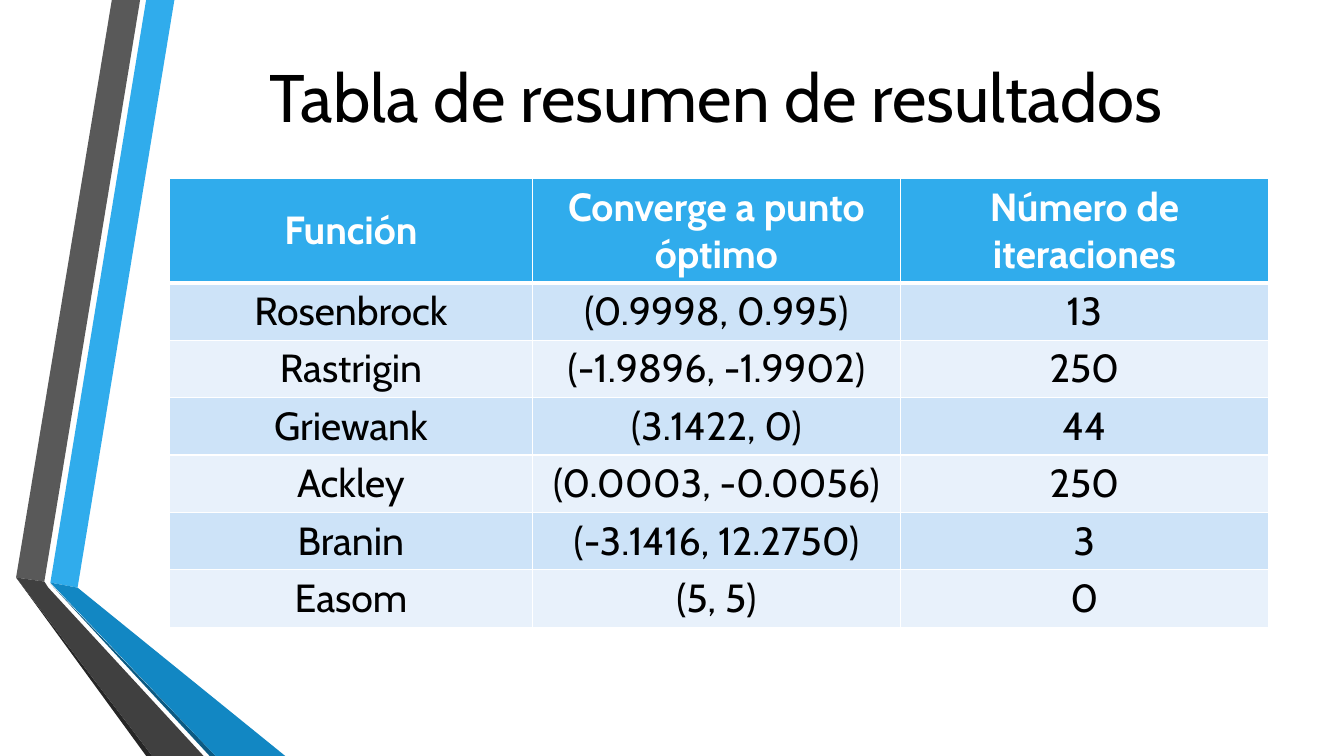
import dataclasses

import lxml.etree
import pptx
import pptx.dml.color
import pptx.enum.text
import pptx.oxml.ns
import pptx.util

PX = 9144


@dataclasses.dataclass(frozen=True)
class Theme:
    """Hold the colours, font and type sizes."""
    font: str = "Cabin"
    title: int = 48
    body: int = 28
    ink: str = "000000"
    white: str = "FFFFFF"
    blue: str = "30ACEC"
    bands: tuple = ("CDE3F8", "E8F1FB")
    gray: str = "595959"
    dark: str = "404040"
    black: str = "262626"
    navy: str = "0C5A82"
    deep: str = "1287C3"


THEME = Theme()

HEADS = ("Función", "Converge a punto óptimo", "Número de iteraciones")
ROWS = (
    ("Rosenbrock", "(0.9998, 0.995)", "13"),
    ("Rastrigin", "(-1.9896, -1.9902)", "250"),
    ("Griewank", "(3.1422, 0)", "44"),
    ("Ackley", "(0.0003, -0.0056)", "250"),
    ("Branin", "(-3.1416, 12.2750)", "3"),
    ("Easom", "(5, 5)", "0"),
)
BANDS = (
    (THEME.blue, ((34, 578), (61, 583), (157, 0), (129, 0))),
    (THEME.gray, ((123, 0), (95, 0), (0, 573), (28, 577))),
    (THEME.black, ((0, 573), (129, 750), (135, 750))),
    (THEME.navy, ((34, 579), (192, 750), (198, 750))),
    (THEME.deep, ((34, 578), (198, 750), (267, 750), (61, 583))),
    (THEME.dark, ((186, 750), (32, 583), (28, 577), (0, 573), (135, 750))),
)


def rgb(code):
    """Turn a hex code into a colour."""
    return pptx.dml.color.RGBColor.from_string(code)


def emu(*sizes):
    """Scale px lengths to EMU."""
    return [size * PX for size in sizes]


def write(frame, text, size=THEME.body, color=THEME.ink, bold=False):
    """Put centred text in a frame."""
    frame.word_wrap = True
    para = frame.paragraphs[0]
    para.alignment = pptx.enum.text.PP_ALIGN.CENTER
    run = para.add_run()
    run.text = text
    font = run.font
    font.name, font.size, font.bold = THEME.font, pptx.util.Pt(size), bold
    font.color.rgb = rgb(color)


def edge(cell, side, width):
    """Draw a white line on one side of a cell."""
    name = pptx.oxml.ns.qn
    props = cell._tc.get_or_add_tcPr()
    line = lxml.etree.SubElement(props, name("a:ln" + side), w=str(pptx.util.Pt(width)))
    fill = lxml.etree.SubElement(line, name("a:solidFill"))
    lxml.etree.SubElement(fill, name("a:srgbClr"), val=THEME.white)


def ribbon(slide, left, top):
    """Draw the folded bands from a corner."""
    for color, points in BANDS:
        pen = slide.shapes.build_freeform(*points[0], scale=PX)
        pen.add_line_segments(points[1:], close=True)
        band = pen.convert_to_shape(*emu(left, top))
        band.shadow.inherit = False
        band.fill.solid()
        band.fill.fore_color.rgb = rgb(color)
        band.line.fill.background()


def title(slide, text, left, top, width, height):
    """Place the heading in its box."""
    box = slide.shapes.add_textbox(*emu(left, top, width, height))
    box.text_frame.vertical_anchor = pptx.enum.text.MSO_ANCHOR.MIDDLE
    write(box.text_frame, text, size=THEME.title)


def grid(slide, left, top, width, height):
    """Fill the box with the table of results."""
    side, head = 365, 103
    step = (height - head) // len(ROWS)
    frame = slide.shapes.add_table(len(ROWS) + 1, len(HEADS), *emu(left, top, width, height))
    table = frame.table
    for col, size in zip(table.columns, (width - 2 * side, side, side)):
        col.width = size * PX
    for i, texts in enumerate((HEADS, *ROWS)):
        first = i == 0
        table.rows[i].height = (head if first else step) * PX
        for j, text in enumerate(texts):
            cell = table.cell(i, j)
            cell.vertical_anchor = pptx.enum.text.MSO_ANCHOR.MIDDLE
            for name, line in zip("LRTB", (1, 1, 3 if i == 1 else 1, 3 if first else 1)):
                edge(cell, name, line)
            cell.fill.solid()
            cell.fill.fore_color.rgb = rgb(THEME.blue if first else THEME.bands[(i - 1) % 2])
            write(cell.text_frame, text, color=THEME.white if first else THEME.ink, bold=first)


def main():
    """Build and save the slide."""
    deck = pptx.Presentation()
    deck.slide_width, deck.slide_height = emu(1333, 750)
    slide = deck.slides.add_slide(deck.slide_layouts[6])
    ribbon(slide, 16, 0)
    title(slide, "Tabla de resumen de resultados", 162, 51, 1096, 88)
    grid(slide, 168, 177, 1090, 445)
    deck.save("out.pptx")


if __name__ == "__main__":
    main()
